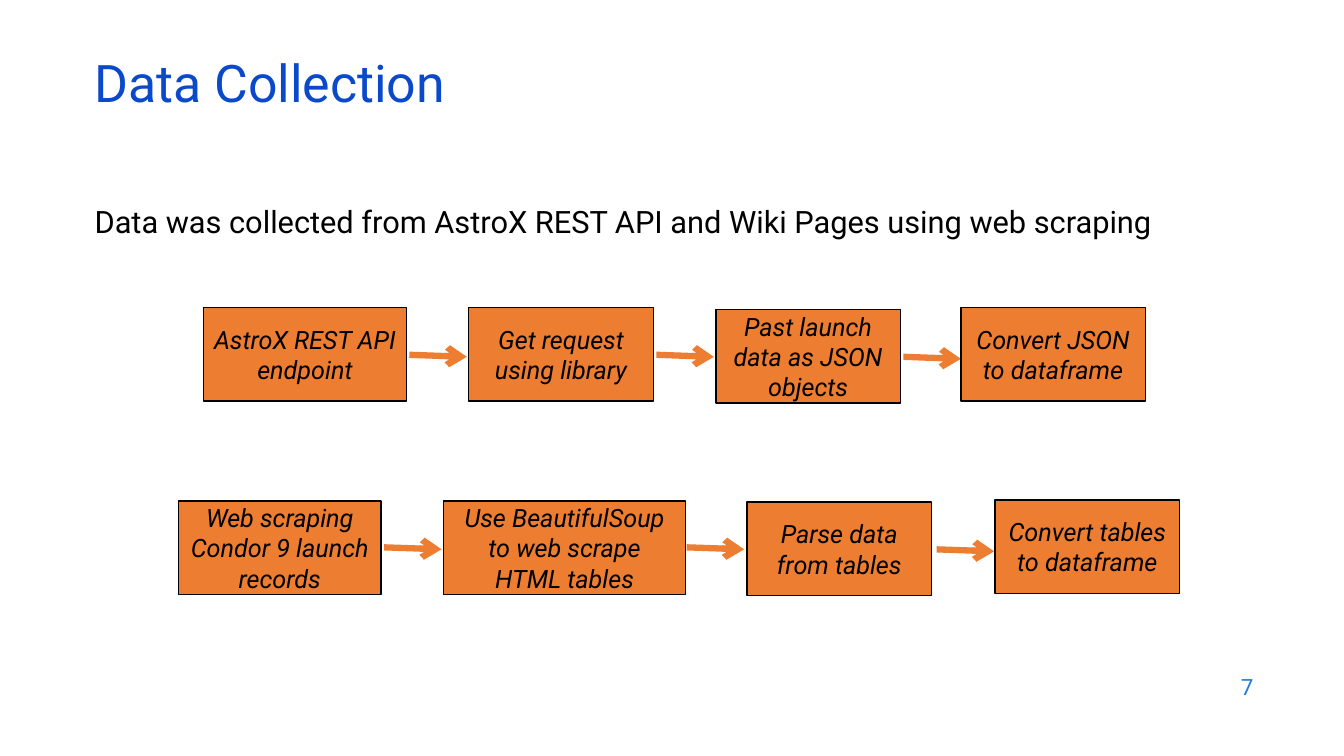
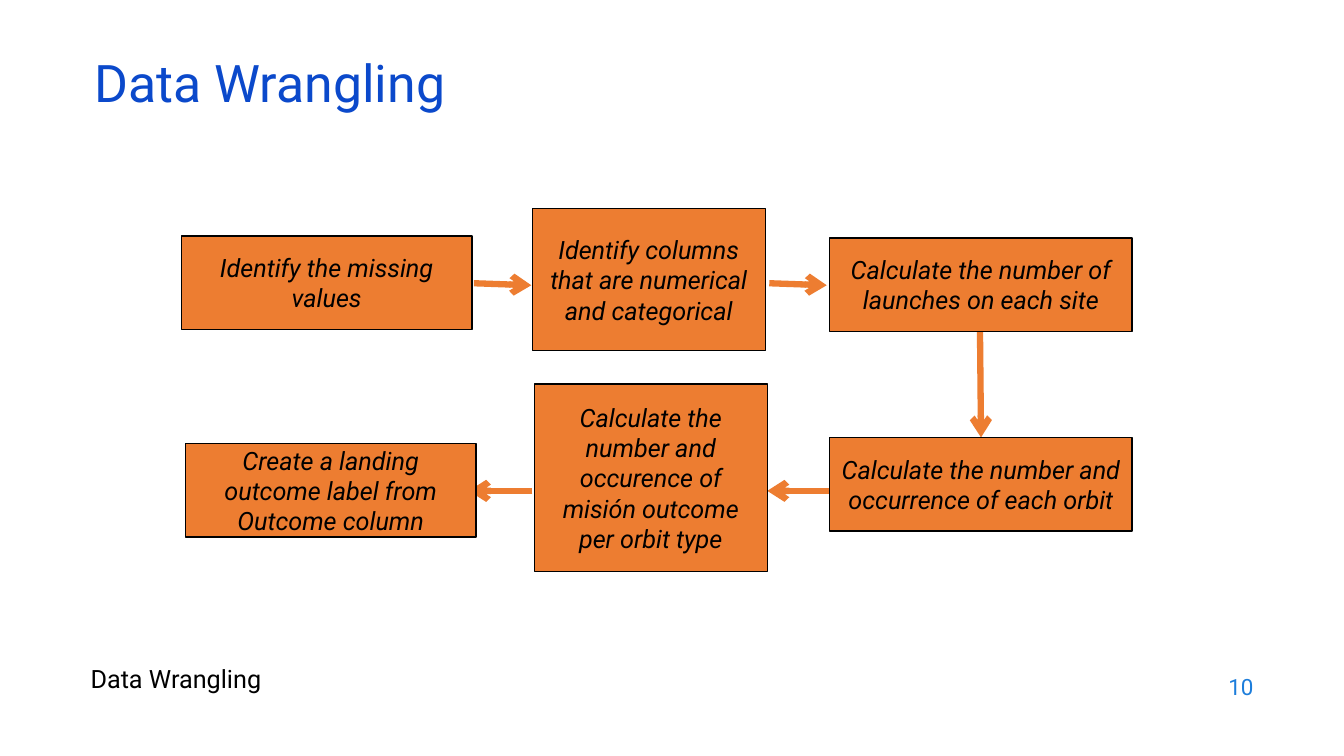
"""Build the data collection and data wrangling slides."""
from dataclasses import dataclass
from typing import Any

from lxml import etree
from pptx import Presentation
from pptx import util as u
from pptx.dml.color import RGBColor
from pptx.enum import shapes, text
from pptx.oxml import ns


@dataclass(frozen=True)
class Theme:
    font: str = "Roboto"
    ink: RGBColor = RGBColor(0x00, 0x00, 0x00)
    title: RGBColor = RGBColor(0x0B, 0x49, 0xCB)
    number: RGBColor = RGBColor(0x1C, 0x7D, 0xDB)
    accent: RGBColor = RGBColor(0xED, 0x7D, 0x31)
    title_size: int = 37
    body_size: int = 22
    step_size: int = 18
    number_size: int = 16
    border_width: int = 1
    arrow_width: float = 4.5


@dataclass(frozen=True)
class Step:
    label: str
    left: float
    top: float
    width: float = 1.83
    height: float = 0.93


@dataclass(frozen=True)
class Arrow:
    left: float
    top: float
    run: float = 0.57
    drop: float = 0.02


@dataclass(frozen=True)
class Note:
    label: str
    left: float
    top: float
    width: float
    height: float
    size: int
    align: Any = text.PP_ALIGN.LEFT
    line_spacing: float = 1.0


@dataclass(frozen=True)
class Page:
    title: str
    number: int
    note: Note
    steps: list[Step]
    arrows: list[Arrow]


THEME = Theme()

PAGES = [
    Page(
        "Data Collection",
        7,
        Note("Data was collected from AstroX REST API and Wiki Pages using web scraping",
             0.84, 2, 11.5, 0.35, THEME.body_size, text.PP_ALIGN.JUSTIFY, 0.9),
        [
            Step("AstroX REST API endpoint", 2.02, 3.05, 2.01),
            Step("Get request using library", 4.65, 3.05),
            Step("Past launch data as JSON objects", 7.1, 3.07),
            Step("Convert JSON to dataframe", 9.53, 3.05),
            Step("Web scraping Condor 9 launch records", 1.77, 4.97, 2.01),
            Step("Use BeautifulSoup to web scrape HTML tables", 4.4, 4.97, 2.4),
            Step("Parse data from tables", 7.41, 4.98),
            Step("Convert tables to dataframe", 9.87, 4.96),
        ],
        [
            Arrow(4.06, 3.52), Arrow(6.51, 3.52), Arrow(8.96, 3.54),
            Arrow(3.81, 5.43), Arrow(6.81, 5.43), Arrow(9.29, 5.45),
        ],
    ),
    Page(
        "Data Wrangling",
        10,
        Note("Data Wrangling", 0.8, 6.53, 3.47, 0.4, THEME.step_size),
        [
            Step("Identify the missing values", 1.8, 2.34, 2.88),
            Step("Identify columns that are numerical and categorical", 5.28, 2.07, 2.31, 1.41),
            Step("Calculate the number of launches on each site", 8.23, 2.36, 3),
            Step("Calculate the number and occurrence of each orbit", 8.23, 4.34, 3),
            Step("Calculate the number and occurence of misión outcome per orbit type",
                 5.3, 3.81, 2.31, 1.86),
            Step("Create a landing outcome label from Outcome column", 1.84, 4.4, 2.88),
        ],
        [
            Arrow(4.7, 2.81), Arrow(7.63, 2.81), Arrow(9.72, 3.29, 0.01, 1.05),
            Arrow(8.23, 4.87, -0.62, 0), Arrow(5.28, 4.87, -0.63, 0),
        ],
    ),
]


def apply_format(target: Any, values: dict[str, Any]) -> None:
    for name, value in values.items():
        setattr(target, name, value)


def write_text(shape: Any, label: str, size: int, color: RGBColor, align: Any,
               anchor: Any = text.MSO_ANCHOR.MIDDLE, italic: bool = False,
               line_spacing: float = 1.0) -> None:
    frame = shape.text_frame
    apply_format(frame, {"word_wrap": True, "vertical_anchor": anchor})
    paragraph = frame.paragraphs[0]
    apply_format(paragraph, {"alignment": align, "line_spacing": line_spacing})
    run = paragraph.add_run()
    run.text = label
    apply_format(run.font, {"name": THEME.font, "size": u.Pt(size), "italic": italic})
    run.font.color.rgb = color


def add_text_box(slide: Any, left: float, top: float, width: float, height: float) -> Any:
    return slide.shapes.add_textbox(*map(u.Inches, (left, top, width, height)))


def add_step(slide: Any, step: Step) -> None:
    shape = slide.shapes.add_shape(
        shapes.MSO_SHAPE.RECTANGLE,
        *map(u.Inches, (step.left, step.top, step.width, step.height)))
    shape.shadow.inherit = False
    shape.fill.solid()
    shape.fill.fore_color.rgb = THEME.accent
    shape.line.color.rgb = THEME.ink
    shape.line.width = u.Pt(THEME.border_width)
    write_text(shape, step.label, THEME.step_size, THEME.ink,
               text.PP_ALIGN.CENTER, italic=True)


def add_arrow(slide: Any, arrow: Arrow) -> None:
    ends = (arrow.left, arrow.top, arrow.left + arrow.run, arrow.top + arrow.drop)
    connector = slide.shapes.add_connector(
        shapes.MSO_CONNECTOR.STRAIGHT, *map(u.Inches, ends))
    connector.line.color.rgb = THEME.accent
    connector.line.width = u.Pt(THEME.arrow_width)
    properties = connector.element.spPr
    outline = properties.find(ns.qn("a:ln"))
    etree.SubElement(outline, ns.qn("a:tailEnd"), type="arrow")
    etree.SubElement(properties, ns.qn("a:effectLst"))


def add_page(presentation: Any, page: Page) -> None:
    slide = presentation.slides.add_slide(presentation.slide_layouts[6])
    write_text(add_text_box(slide, 9.53, 6.59, 3, 0.44), str(page.number),
               THEME.number_size, THEME.number, text.PP_ALIGN.RIGHT)
    write_text(add_text_box(slide, 0.84, 0.59, 11.5, 0.6), page.title,
               THEME.title_size, THEME.title, text.PP_ALIGN.LEFT, line_spacing=0.7)
    note = page.note
    write_text(add_text_box(slide, note.left, note.top, note.width, note.height),
               note.label, note.size, THEME.ink, note.align,
               text.MSO_ANCHOR.TOP, line_spacing=note.line_spacing)
    for arrow in page.arrows:
        add_arrow(slide, arrow)
    for step in page.steps:
        add_step(slide, step)


def main() -> None:
    presentation = Presentation()
    apply_format(presentation, {"slide_width": u.Inches(13.33), "slide_height": u.Inches(7.5)})
    for page in PAGES:
        add_page(presentation, page)
    presentation.save("out.pptx")


if __name__ == "__main__":
    main()
